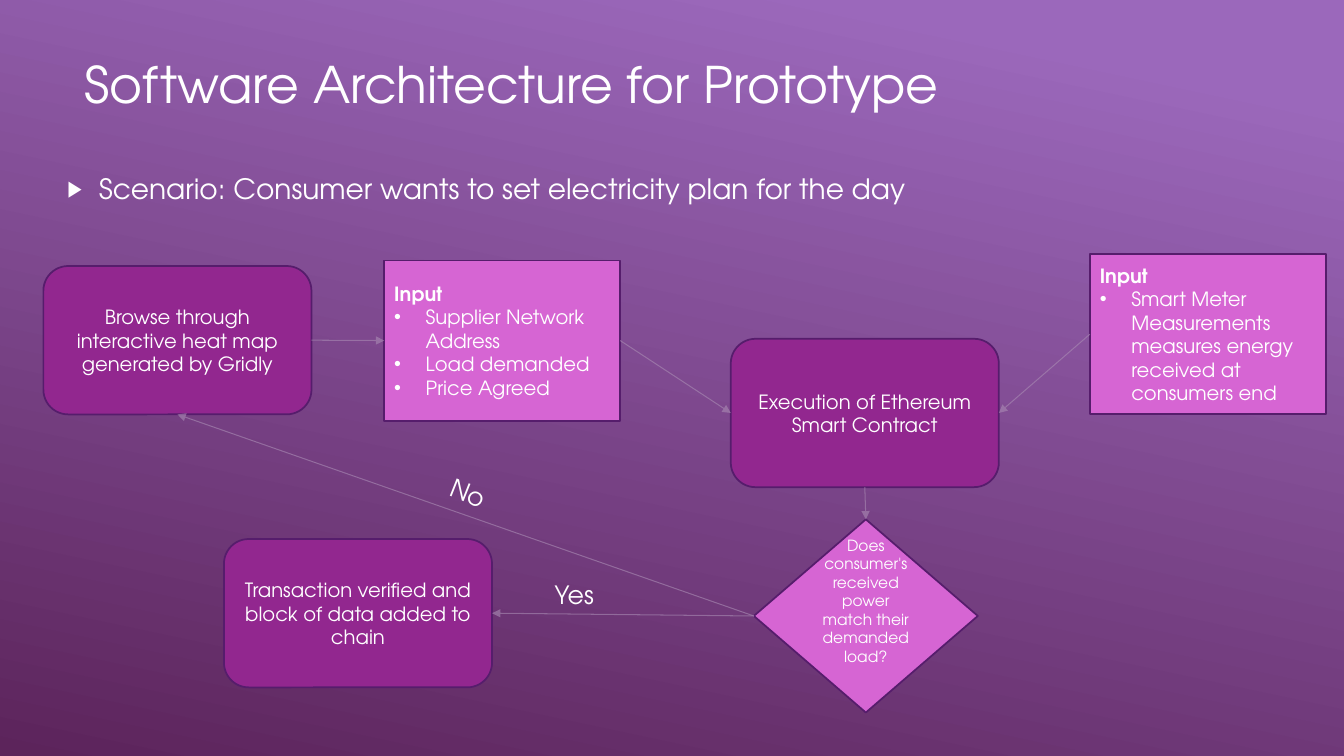
from dataclasses import dataclass

from lxml.etree import SubElement
from pptx import Presentation
from pptx.dml.color import RGBColor
from pptx.enum.shapes import MSO_CONNECTOR, MSO_SHAPE
from pptx.enum.text import MSO_ANCHOR, PP_ALIGN
from pptx.oxml.ns import qn
from pptx.util import Pt


@dataclass(frozen=True)
class Theme:
    font: str = "TeX Gyre Adventor"
    text: str = "FFFFFF"
    process: str = "92278F"
    accent: str = "D665D3"
    outline: str = "561D6C"
    arrow: str = "AA8CB4"
    arrow_alpha: int = 60
    background: tuple = ((0.1, "9B68BB"), (1.0, "5C245B"))
    background_angle: int = 258
    title_size: float = 36
    scenario_size: float = 20
    label_size: float = 18
    box_size: float = 14
    decision_size: float = 11
    outline_width: float = 1.25
    arrow_width: float = 0.75
    bullet_indent: float = 22.5


TOP, LEFT, BOTTOM, RIGHT = range(4)  # connection sites
PROCESS_SIZE = (191.5, 106)
INPUT_SIZE = (168.5, 114.5)
DECISION_SIZE = (160, 138)


def apply(target, values):
    for name, value in values.items():
        setattr(target, name, value)


class SlideBuilder:
    def __init__(self, slide, theme):
        self.slide = slide
        self.theme = theme

    def background(self):
        fill = self.slide.background.fill
        fill.gradient()
        fill.gradient_angle = self.theme.background_angle
        for stop, (position, color) in zip(fill.gradient_stops, self.theme.background):
            stop.position = position
            stop.color.rgb = RGBColor.from_string(color)

    def bullet(self, para, character, percent):
        indent = Pt(self.theme.bullet_indent)
        properties = para._p.get_or_add_pPr()
        properties.set("marL", str(indent))
        properties.set("indent", str(-indent))
        color = SubElement(properties, qn("a:buClr"))
        SubElement(color, qn("a:srgbClr"), val=self.theme.text)
        SubElement(properties, qn("a:buSzPct"), val=str(percent * 1000))
        SubElement(properties, qn("a:buFont"), typeface="Arial")
        SubElement(properties, qn("a:buChar"), char=character)

    def fill_para(self, para, text, size, bold=False, **layout):
        apply(para, {"alignment": PP_ALIGN.LEFT, **layout})
        span = para.add_run()
        span.text = text
        apply(span.font, {"name": self.theme.font, "size": Pt(size), "bold": bold})
        span.font.color.rgb = RGBColor.from_string(self.theme.text)

    def text(self, text, size, left, top, width, height,
             anchor=MSO_ANCHOR.TOP, rotation=0, **layout):
        box = self.slide.shapes.add_textbox(Pt(left), Pt(top), Pt(width), Pt(height))
        box.rotation = rotation
        apply(box.text_frame, {"word_wrap": True, "vertical_anchor": anchor})
        para = box.text_frame.paragraphs[0]
        self.fill_para(para, text, size, **layout)
        return para

    def shape(self, kind, color, left, top, size):
        box = self.slide.shapes.add_shape(kind, Pt(left), Pt(top), *map(Pt, size))
        box.shadow.inherit = False
        box.fill.solid()
        box.fill.fore_color.rgb = RGBColor.from_string(color)
        box.line.color.rgb = RGBColor.from_string(self.theme.outline)
        box.line.width = Pt(self.theme.outline_width)
        apply(box.text_frame, {"word_wrap": True, "vertical_anchor": MSO_ANCHOR.MIDDLE})
        return box

    def process(self, text, left, top):
        box = self.shape(MSO_SHAPE.FLOWCHART_ALTERNATE_PROCESS, self.theme.process,
                         left, top, PROCESS_SIZE)
        self.fill_para(box.text_frame.paragraphs[0], text, self.theme.box_size,
                       alignment=PP_ALIGN.CENTER)
        return box

    def input_box(self, items, left, top):
        box = self.shape(MSO_SHAPE.RECTANGLE, self.theme.accent, left, top, INPUT_SIZE)
        frame = box.text_frame
        self.fill_para(frame.paragraphs[0], "Input", self.theme.box_size, bold=True)
        for item in items:
            para = frame.add_paragraph()
            self.fill_para(para, item, self.theme.box_size)
            self.bullet(para, "•", 100)
        return box

    def decision(self, text, left, top):
        box = self.shape(MSO_SHAPE.DIAMOND, self.theme.accent, left, top, DECISION_SIZE)
        box.text_frame.margin_bottom = Pt(25.5)  # lifts the question above centre
        self.fill_para(box.text_frame.paragraphs[0], text, self.theme.decision_size,
                       alignment=PP_ALIGN.CENTER)
        return box

    def arrow(self, source, source_site, target, target_site):
        link = self.slide.shapes.add_connector(MSO_CONNECTOR.STRAIGHT, Pt(0), Pt(0), Pt(0), Pt(0))
        link.begin_connect(source, source_site)
        link.end_connect(target, target_site)
        link.line.color.rgb = RGBColor.from_string(self.theme.arrow)
        link.line.width = Pt(self.theme.arrow_width)
        properties = link._element.spPr
        color = properties.find(".//" + qn("a:srgbClr"))
        SubElement(color, qn("a:alpha"), val=str(self.theme.arrow_alpha * 1000))
        SubElement(properties.find(qn("a:ln")), qn("a:tailEnd"), type="triangle")
        SubElement(properties, qn("a:effectLst"))


deck = Presentation()
apply(deck, {"slide_width": Pt(960), "slide_height": Pt(540)})
theme = Theme()
page = SlideBuilder(deck.slides.add_slide(deck.slide_layouts[6]), theme)
page.background()

# Title and scenario
page.text("Software Architecture for Prototype", theme.title_size,
          53.5, 0, 672, 119, anchor=MSO_ANCHOR.MIDDLE)
scenario = page.text("Scenario: Consumer wants to set electricity plan for the day",
                     theme.scenario_size, 41, 119, 672, 40,
                     space_before=Pt(4), space_after=Pt(6))
page.bullet(scenario, "▶", 80)

# Flowchart steps
browse = page.process("Browse through interactive heat map generated by Gridly", 31, 190)
contract = page.process("Execution of Ethereum Smart Contract", 522, 242)
verified = page.process("Transaction verified and block of data added to chain", 160, 385)
plan_input = page.input_box(
    ["Supplier Network Address", "Load demanded", "Price Agreed"], 274.5, 186)
meter_input = page.input_box(
    ["Smart Meter Measurements measures energy received at consumers end"], 778.5, 181.5)
load_match = page.decision(
    "Does consumer's received power match their demanded load?", 538.5, 371)

# Arrows between the steps
for link_ends in (
    (browse, RIGHT, plan_input, LEFT),
    (plan_input, RIGHT, contract, LEFT),
    (meter_input, LEFT, contract, RIGHT),
    (contract, BOTTOM, load_match, TOP),
    (load_match, LEFT, browse, BOTTOM),
    (load_match, LEFT, verified, RIGHT),
):
    page.arrow(*link_ends)

# Decision labels
page.text("No", theme.label_size, 314.5, 338.5, 46, 29, rotation=21.7)
page.text("Yes", theme.label_size, 389, 410.5, 46, 29)

deck.save("out.pptx")
